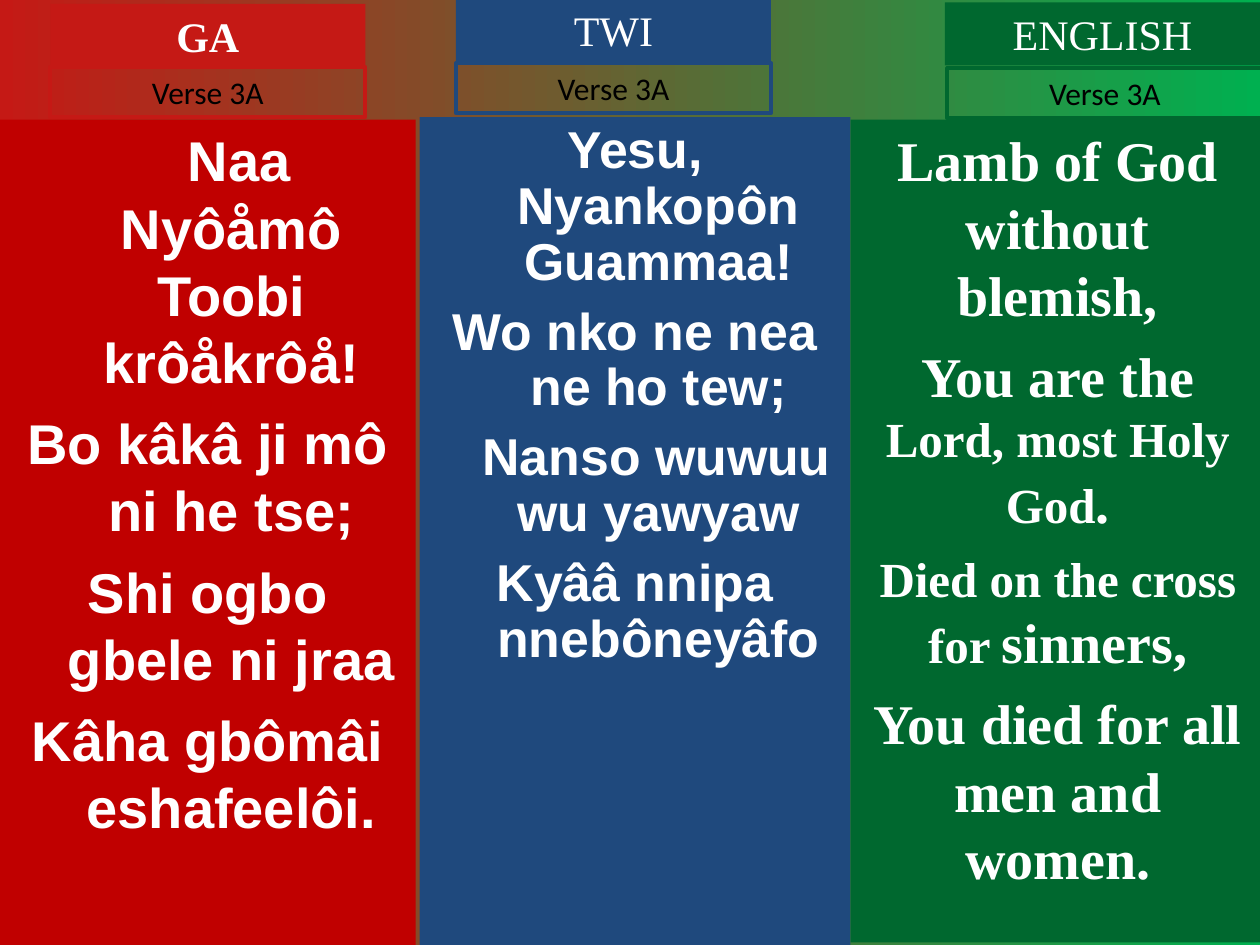
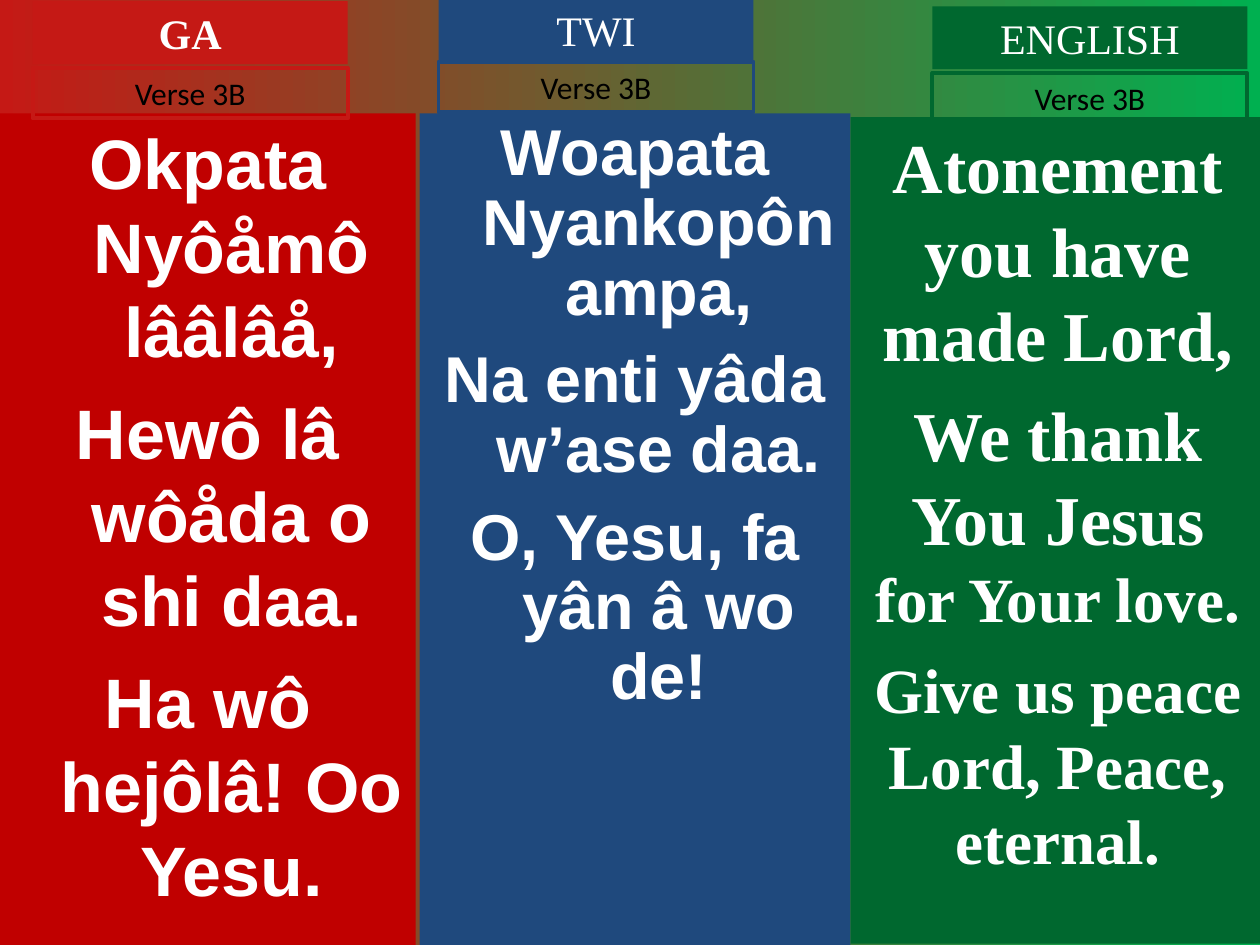
from dataclasses import dataclass
from pptx import Presentation
from pptx.dml.color import RGBColor as Rgb
from pptx.enum.shapes import MSO_SHAPE as Form
from pptx.enum.text import MSO_ANCHOR as Anchor, PP_ALIGN as Align
from pptx.util import Pt


@dataclass(frozen=True)
class Theme:
    red: Rgb = Rgb.from_string("C51915")
    lime: Rgb = Rgb.from_string("00B050")
    wine: Rgb = Rgb.from_string("C00000")
    blue: Rgb = Rgb.from_string("1F497D")
    green: Rgb = Rgb.from_string("00682F")
    white: Rgb = Rgb.from_string("FFFFFF")
    black: Rgb = Rgb.from_string("000000")
    sans: str = "Arial"
    serif: str = "Times New Roman"
    plain: str = "Calibri"
    head: float = 24
    verse: float = 18
    hang: float = 27


theme = Theme()


def add_box(slide, x, y, w, h, fill=None, line=None):
    box = slide.shapes.add_shape(Form.RECTANGLE, Pt(x), Pt(y), Pt(w), Pt(h))
    box.shadow.inherit = False
    if fill is None:
        box.fill.background()
    else:
        box.fill.solid()
        box.fill.fore_color.rgb = fill
    if line is None:
        box.line.fill.background()
    else:
        box.line.color.rgb = line
        box.line.width = Pt(2.25)
    box.text_frame.word_wrap = True
    box.text_frame.vertical_anchor = Anchor.TOP
    return box.text_frame


def set_para(para, parts, face, size, color, bold=False):
    para.alignment = Align.CENTER
    font = para.font
    font.name, font.size, font.bold = face, Pt(size), bold
    font.color.rgb = color
    for text, own in parts:
        run = para.add_run()
        run.text = text
        if own != size:
            run.font.size = Pt(own)


columns = [
    dict(name="GA", x=0, w=237.6, panel=theme.wine, tint=theme.red,
         face=theme.sans, bold=True, hang=theme.hang, lead=None),
    dict(name="TWI", x=239.8, w=246.2, panel=theme.blue, tint=theme.blue,
         face=theme.sans, bold=False, hang=theme.hang, lead=0.9),
    dict(name="ENGLISH", x=486, w=236.9, panel=theme.green, tint=theme.green,
         face=theme.serif, bold=False, hang=0, lead=None),
]

verses = [
    ("Verse 3A", [
        dict(top=68.4, foot=540, head=(28.8, 2.2), tag=(28.8, 38.2), size=32, gap=8,
             shift={0: 35.6},
             lines=["Naa Nyôåmô Toobi krôåkrôå!", "Bo kâkâ ji mô ni he tse;",
                    "Shi ogbo gbele ni jraa", "Kâha gbômâi eshafeelôi."]),
        dict(top=67, foot=540, head=(260.6, -0.7), tag=(260.6, 36), size=29.6, gap=8,
             shift={2: 24.7},
             lines=["Yesu, Nyankopôn Guammaa!", "Wo nko ne nea ne ho tew;",
                    "Nanso wuwuu wu yawyaw", "Kyââ nnipa nnebôneyâfo"]),
        dict(top=68.4, foot=538.6, head=(540, 1.4), tag=(541.4, 38.9), size=32, gap=8,
             shift={},
             lines=["Lamb of God without blemish,",
                    [("You are the ", 32), ("Lord, most Holy God", 28), (".", 32)],
                    [("Died on the cross for ", 28), ("sinners,", 32)],
                    "You died for all men and women."]),
    ]),
    ("Verse 3B", [
        dict(top=64.8, foot=540, head=(18.7, 0.7), tag=(18.7, 38.9), size=40, gap=10,
             shift={},
             lines=["Okpata Nyôåmô lââlâå,", "Hewô lâ wôåda o shi daa.",
                    "Ha wô hejôlâ! Oo Yesu."]),
        dict(top=64.8, foot=540, head=(250.6, -0.7), tag=(250.6, 35.3), size=37, gap=10,
             shift={},
             lines=["Woapata Nyankopôn ampa,", "Na enti yâda w’ase daa.",
                    "O, Yesu, fa yân â wo de!"]),
        dict(top=67, foot=539.3, head=(532.8, 3.6), tag=(532.8, 41.8), size=40, gap=9,
             shift={},
             lines=["Atonement you have made Lord,",
                    [("We thank You Jesus ", 40), ("for Your love.", 36)],
                    [("Give us peace Lord, Peace, eternal.", 36)]]),
    ]),
]

deck = Presentation()
deck.slide_width, deck.slide_height = Pt(720), Pt(540)

for title, bodies in verses:
    slide = deck.slides.add_slide(deck.slide_layouts[6])
    back = slide.background.fill
    back.gradient()
    back.gradient_angle = 0
    for stop, color in zip(back.gradient_stops, (theme.red, theme.lime)):
        stop.color.rgb = color

    for col, body in zip(columns, bodies):
        size = body["size"]
        frame = add_box(slide, col["x"], body["top"], col["w"],
                        body["foot"] - body["top"], fill=col["panel"])
        for i, line in enumerate(body["lines"]):
            para = frame.add_paragraph() if i else frame.paragraphs[0]
            props = para._p.get_or_add_pPr()
            props.set("marL", str(Pt(col["hang"])))
            props.set("indent", str(Pt(body["shift"].get(i, 0) - col["hang"])))
            if i:
                para.space_before = Pt(body["gap"])
            if col["lead"]:
                para.line_spacing = col["lead"]
            parts = [(line, size)] if isinstance(line, str) else line
            set_para(para, parts, col["face"], size, theme.white, True)

        frame = add_box(slide, *body["head"], 180, 36, fill=col["tint"])
        set_para(frame.paragraphs[0], [(col["name"], theme.head)], theme.serif,
                 theme.head, theme.white, col["bold"])
        frame = add_box(slide, *body["tag"], 180, 28.8, line=col["tint"])
        set_para(frame.paragraphs[0], [(title, theme.verse)], theme.plain,
                 theme.verse, theme.black)

deck.save("out.pptx")
